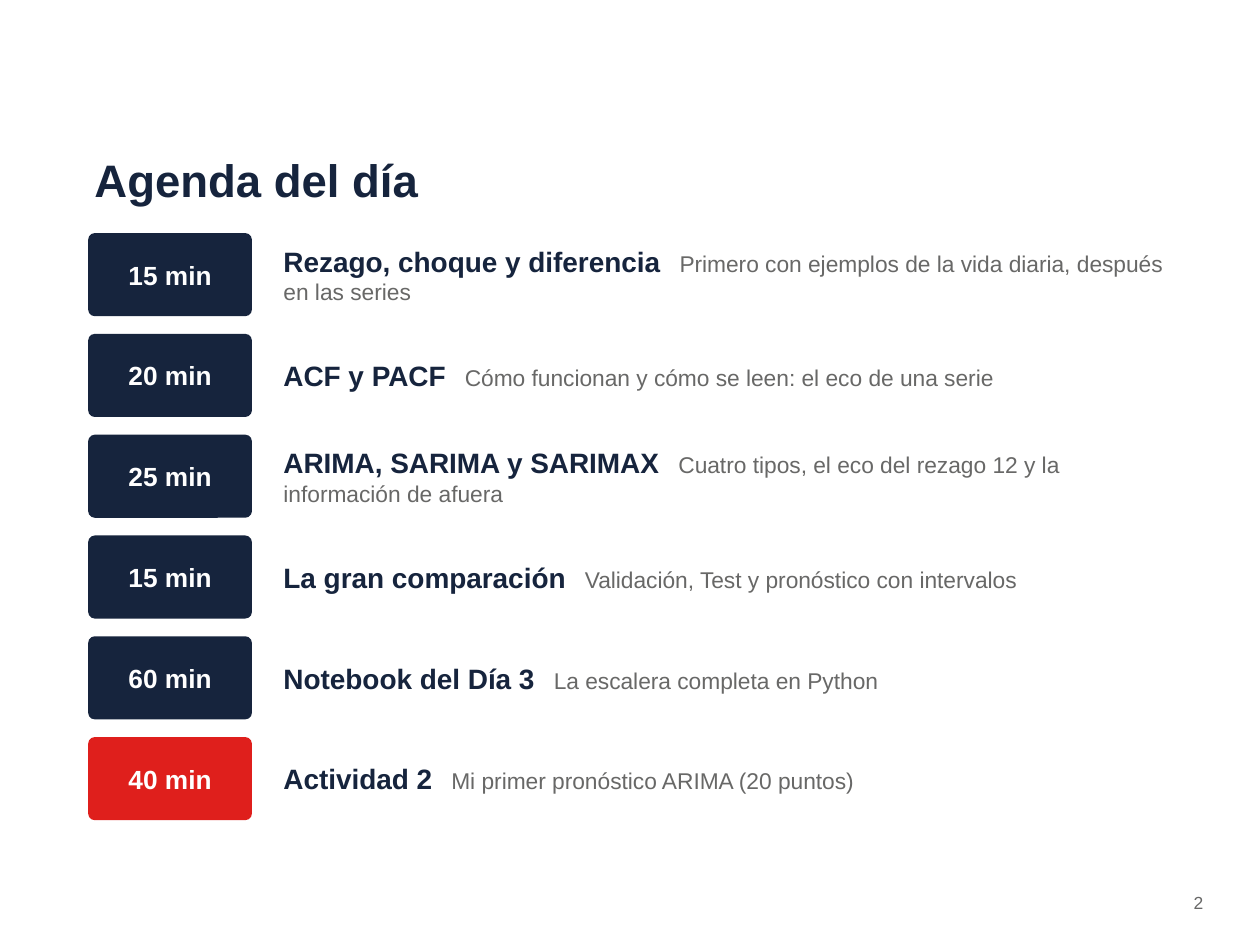
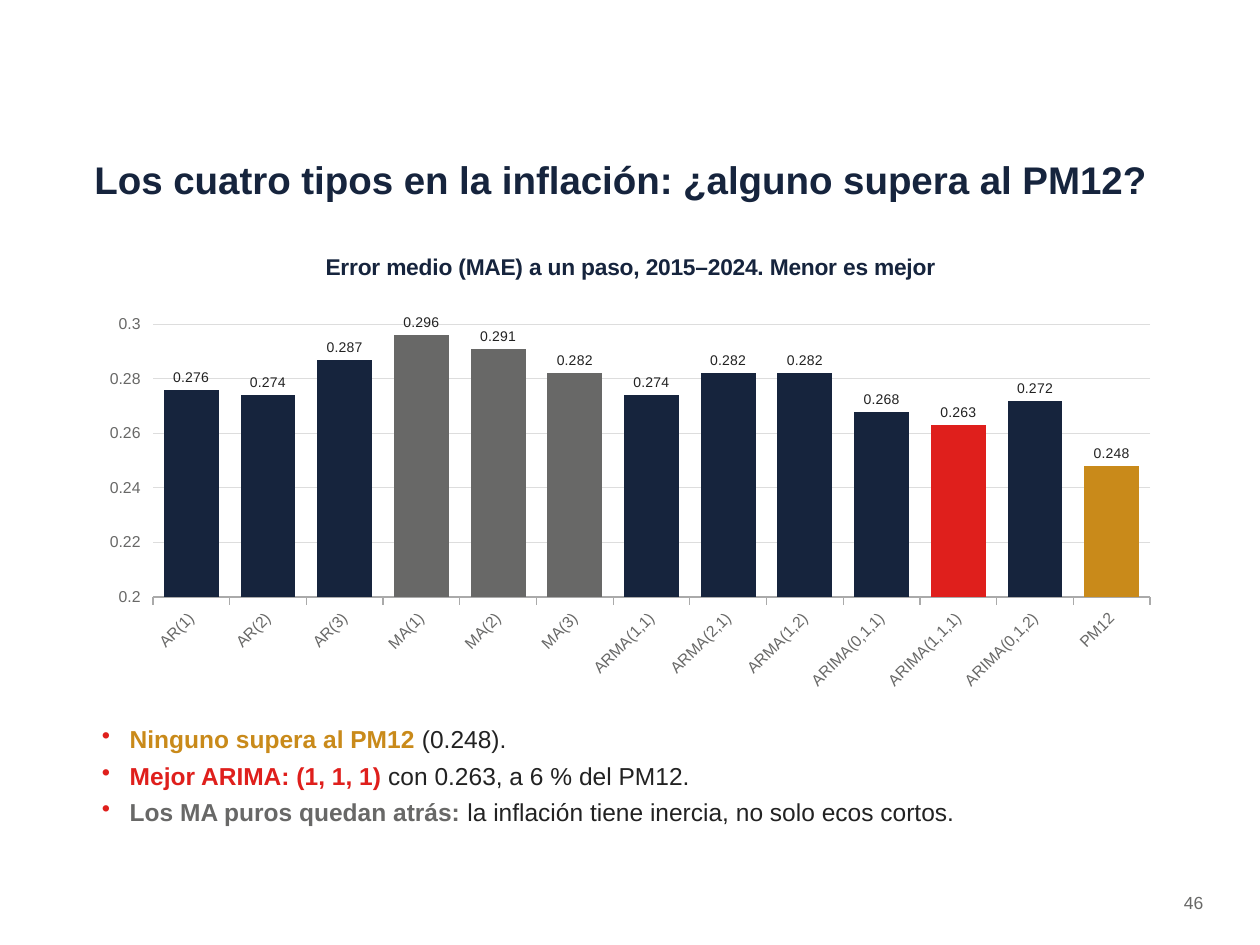
from lxml import etree
from pptx import Presentation
from pptx.chart.data import CategoryChartData
from pptx.dml.color import RGBColor
from pptx.enum.chart import XL_CHART_TYPE, XL_LABEL_POSITION, XL_TICK_LABEL_POSITION, XL_TICK_MARK
from pptx.enum.shapes import MSO_SHAPE
from pptx.enum.text import MSO_ANCHOR, PP_ALIGN
from pptx.oxml.ns import qn
from pptx.util import Pt

PX = 9144
FONT = "Arial"
NAVY, RED, GOLD = "16243D", "DF1F1C", "C98A1A"
GRAY, INK, WHITE = "686867", "222222", "FFFFFF"
AXIS_LINE, GRID = "AAAAAA", "DDDDDD"

TOP, MIDDLE = MSO_ANCHOR.TOP, MSO_ANCHOR.MIDDLE
LEFT, CENTER, RIGHT = PP_ALIGN.LEFT, PP_ALIGN.CENTER, PP_ALIGN.RIGHT
ROUNDED = MSO_SHAPE.ROUNDED_RECTANGLE
COLUMNS = XL_CHART_TYPE.COLUMN_CLUSTERED
OUTSIDE_END = XL_LABEL_POSITION.OUTSIDE_END
LOW = XL_TICK_LABEL_POSITION.LOW
TICK_OUT = XL_TICK_MARK.OUTSIDE

TITLE_BOX = (70, 105, 860, 75)
NUMBER_BOX = (900, 705, 60, 30)
AGENDA_BOX = (70, 185, 860, 466)
CHART_BOX = (70, 185, 860, 370)
NOTES_BOX = (70, 570, 860, 120)

AGENDA = [
    ("15 min", "Rezago, choque y diferencia",
     "Primero con ejemplos de la vida diaria, después en las series", NAVY),
    ("20 min", "ACF y PACF", "Cómo funcionan y cómo se leen: el eco de una serie", NAVY),
    ("25 min", "ARIMA, SARIMA y SARIMAX",
     "Cuatro tipos, el eco del rezago 12 y la información de afuera", NAVY),
    ("15 min", "La gran comparación", "Validación, Test y pronóstico con intervalos", NAVY),
    ("60 min", "Notebook del Día 3", "La escalera completa en Python", NAVY),
    ("40 min", "Actividad 2", "Mi primer pronóstico ARIMA (20 puntos)", RED),
]

MODEL_ERRORS = [
    ("AR(1)", 0.276, NAVY), ("AR(2)", 0.274, NAVY), ("AR(3)", 0.287, NAVY),
    ("MA(1)", 0.296, GRAY), ("MA(2)", 0.291, GRAY), ("MA(3)", 0.282, GRAY),
    ("ARMA(1,1)", 0.274, NAVY), ("ARMA(2,1)", 0.282, NAVY), ("ARMA(1,2)", 0.282, NAVY),
    ("ARIMA(0,1,1)", 0.268, NAVY), ("ARIMA(1,1,1)", 0.263, RED),
    ("ARIMA(0,1,2)", 0.272, NAVY), ("PM12", 0.248, GOLD),
]

FINDINGS = [
    ("Ninguno supera al PM12 ", "(0.248).", GOLD),
    ("Mejor ARIMA: (1, 1, 1) ", "con 0.263, a 6 % del PM12.", RED),
    ("Los MA puros quedan atrás: ", "la inflación tiene inercia, no solo ecos cortos.", GRAY),
]


def rgb(color):
    return RGBColor.from_string(color)


def emu(box):
    return [n * PX for n in box]


def style_font(font, size, color, bold=False):
    font.name, font.size, font.bold = FONT, Pt(size), bold
    font.color.rgb = rgb(color)


def add_run(p, text, size, color, bold=False):
    r = p.add_run()
    r.text = text
    style_font(r.font, size, color, bold)
    return r


def set_frame(sp, anchor, inset=3, align=LEFT):
    tf = sp.text_frame
    tf.word_wrap = True
    tf.vertical_anchor = anchor
    tf.margin_left = tf.margin_right = 5 * PX
    tf.margin_top = tf.margin_bottom = inset * PX
    p = tf.paragraphs[0]
    p.alignment = align
    p.space_after = Pt(4)
    return tf


def add_text(s, box, anchor=TOP, inset=3, align=LEFT):
    return set_frame(s.shapes.add_textbox(*emu(box)), anchor, inset, align)


def add_bullet(p):
    pPr = p._p.get_or_add_pPr()
    pPr.set("marL", str(28 * PX))
    pPr.set("indent", str(-22 * PX))
    color = etree.SubElement(pPr, qn("a:buClr"))
    etree.SubElement(color, qn("a:srgbClr")).set("val", RED)
    etree.SubElement(pPr, qn("a:buChar")).set("char", "•")


def new_slide(prs, title, size, number):
    s = prs.slides.add_slide(prs.slide_layouts[6])
    tf = add_text(s, TITLE_BOX, MIDDLE)
    add_run(tf.paragraphs[0], title, size, NAVY, True)
    tf = add_text(s, NUMBER_BOX, align=RIGHT)
    add_run(tf.paragraphs[0], number, 10, GRAY)
    return s


def add_agenda(s, box, items):
    x, y, w, h = box
    row_h, badge_w, text_x = 66, 130, 150
    pitch = (h - row_h) // (len(items) - 1)
    for i, (time, topic, detail, color) in enumerate(items):
        top = y + i * pitch
        badge = s.shapes.add_shape(ROUNDED, *emu((x, top, badge_w, row_h)))
        badge.adjustments[0] = 0.08
        badge.shadow.inherit = False
        badge.fill.solid()
        badge.fill.fore_color.rgb = rgb(color)
        badge.line.fill.background()
        tf = set_frame(badge, MIDDLE, align=CENTER)
        add_run(tf.paragraphs[0], time, 15, WHITE, True)

        tf = add_text(s, (x + text_x, top, w - text_x, row_h), MIDDLE)
        p = tf.paragraphs[0]
        add_run(p, topic, 16, NAVY, True)
        gap = add_run(p, " ", 13, GRAY)
        gap._r.get_or_add_rPr().set("spc", "720")
        add_run(p, detail, 13, GRAY)


def style_axes(chart):
    cat, val = chart.category_axis, chart.value_axis
    for axis in (cat, val):
        axis.major_tick_mark = TICK_OUT
        style_font(axis.tick_labels.font, 9, GRAY)
    cat.tick_label_position = LOW
    cat.format.line.color.rgb = rgb(AXIS_LINE)
    cat.format.line.width = Pt(0.75)
    val.minimum_scale, val.maximum_scale, val.major_unit = 0.2, 0.31, 0.02
    val.format.line.fill.background()
    val.has_major_gridlines = True
    grid = val.major_gridlines.format.line
    grid.color.rgb = rgb(GRID)
    grid.width = Pt(0.5)


def add_error_chart(s, box, title, errors):
    data = CategoryChartData()
    data.categories = [model for model, _, _ in errors]
    data.add_series("MAE", [error for _, error, _ in errors])
    chart = s.shapes.add_chart(COLUMNS, *emu(box), data).chart
    style_font(chart.font, 9, INK)
    chart.has_legend = False
    chart.has_title = True
    add_run(chart.chart_title.text_frame.paragraphs[0], title, 13, NAVY, True)
    chart.chart_title.include_in_layout = False
    style_axes(chart)

    plot = chart.plots[0]
    plot.gap_width = 40
    plot.vary_by_categories = False
    series = plot.series[0]
    series.invert_if_negative = False
    series.format.fill.solid()
    series.format.fill.fore_color.rgb = rgb(NAVY)
    for i, (_, _, color) in enumerate(errors):
        if color != NAVY:
            fill = series.points[i].format.fill
            fill.solid()
            fill.fore_color.rgb = rgb(color)

    plot.has_data_labels = True
    labels = plot.data_labels
    labels.show_value = True
    labels.position = OUTSIDE_END
    labels.number_format = "0.000"
    labels.number_format_is_linked = False
    style_font(labels.font, 8, INK)


def add_findings(s, box, findings):
    tf = add_text(s, box, inset=5)
    for i, (lead, rest, color) in enumerate(findings):
        p = tf.add_paragraph() if i else tf.paragraphs[0]
        p.space_after = Pt(4)
        add_bullet(p)
        add_run(p, lead, 14, color, True)
        add_run(p, rest, 14, INK)


def main():
    prs = Presentation()
    prs.slide_width, prs.slide_height = emu((1000, 750))

    s = new_slide(prs, "Agenda del día", 26, "2")
    add_agenda(s, AGENDA_BOX, AGENDA)

    s = new_slide(prs, "Los cuatro tipos en la inflación: ¿alguno supera al PM12?", 22, "46")
    add_error_chart(s, CHART_BOX, "Error medio (MAE) a un paso, 2015–2024. Menor es mejor",
                    MODEL_ERRORS)
    add_findings(s, NOTES_BOX, FINDINGS)

    prs.save("out.pptx")


if __name__ == "__main__":
    main()
